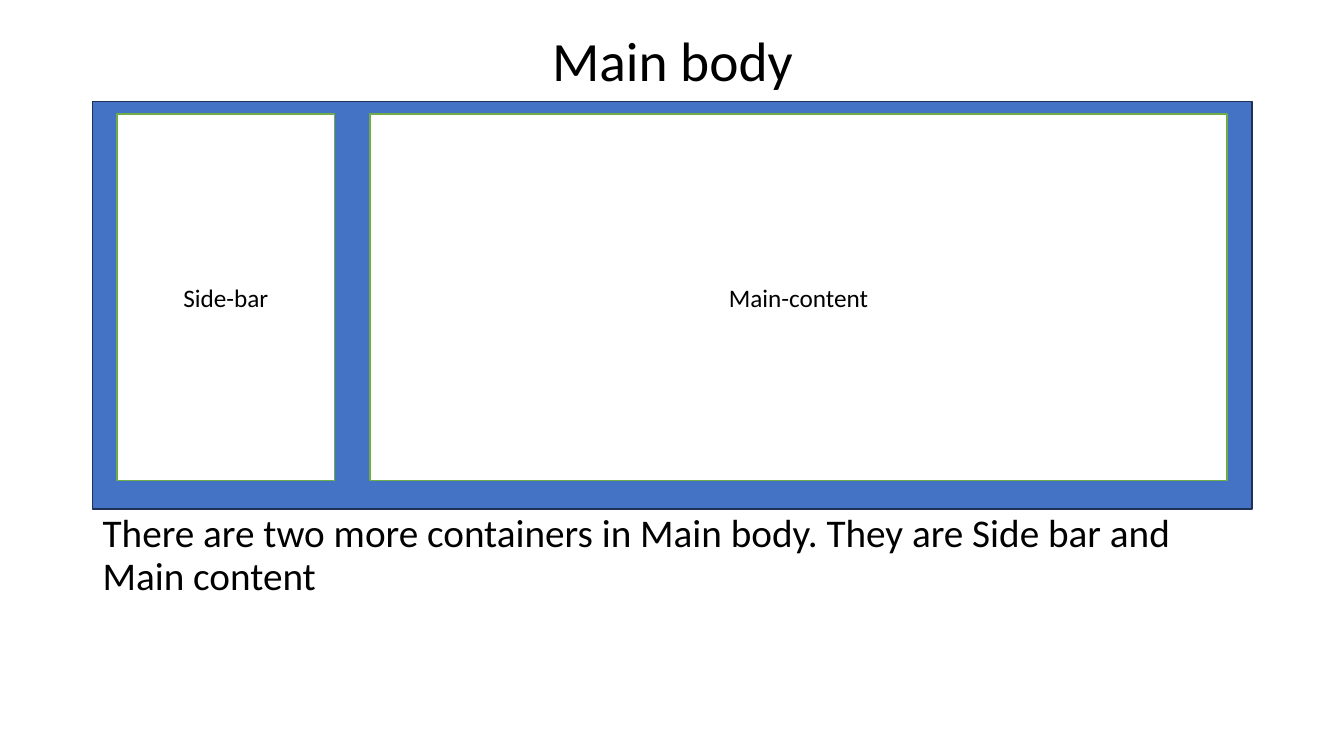
from pptx import Presentation
from pptx.dml.color import RGBColor
from pptx.enum.shapes import MSO_SHAPE
from pptx.enum.text import MSO_ANCHOR, MSO_AUTO_SIZE, PP_ALIGN
from pptx.util import Inches, Pt

BLACK = RGBColor(0x00, 0x00, 0x00)
WHITE = RGBColor(0xFF, 0xFF, 0xFF)
BLUE = RGBColor(0x44, 0x72, 0xC4)
NAVY = RGBColor(0x1E, 0x32, 0x56)
GREEN = RGBColor(0x70, 0xAD, 0x47)


def write(shape, text, size, align=PP_ALIGN.CENTER, anchor=MSO_ANCHOR.MIDDLE, spacing=1.0, before=0):
    frame = shape.text_frame
    frame.word_wrap = True
    frame.auto_size = MSO_AUTO_SIZE.NONE
    frame.vertical_anchor = anchor
    paragraph = frame.paragraphs[0]
    paragraph.alignment = align
    paragraph.line_spacing = spacing
    paragraph.space_before = Pt(before)
    run = paragraph.add_run()
    run.text = text
    run.font.name = "Calibri"
    run.font.size = Pt(size)
    run.font.color.rgb = BLACK


def add_container(left, top, width, height, fill, line):
    container = slide.shapes.add_shape(
        MSO_SHAPE.RECTANGLE, Inches(left), Inches(top), Inches(width), Inches(height))
    container.shadow.inherit = False
    container.fill.solid()
    container.fill.fore_color.rgb = fill
    container.line.color.rgb = line
    container.line.width = Pt(1)
    return container


presentation = Presentation()
presentation.slide_width = Inches(13.33)
presentation.slide_height = Inches(7.5)
slide = presentation.slides.add_slide(presentation.slide_layouts[5])

heading = slide.shapes.title
heading.left, heading.top = Inches(0.92), Inches(0.4)
heading.width, heading.height = Inches(11.5), Inches(0.46)
write(heading, "Main body", 39.6, spacing=0.9)

explanation = slide.shapes.add_textbox(Inches(0.92), Inches(5.05), Inches(11.5), Inches(1.71))
write(explanation, "There are two more containers in Main body. They are Side bar and Main content", 28,
      align=PP_ALIGN.LEFT, anchor=MSO_ANCHOR.TOP, spacing=0.9, before=10)

add_container(0.92, 1.01, 11.5, 4.04, BLUE, NAVY)
for label, left, width in [("Side-bar", 1.16, 2.16), ("Main-content", 3.67, 8.5)]:
    section = add_container(left, 1.13, width, 3.64, WHITE, GREEN)
    write(section, label, 18)

presentation.save("out.pptx")
